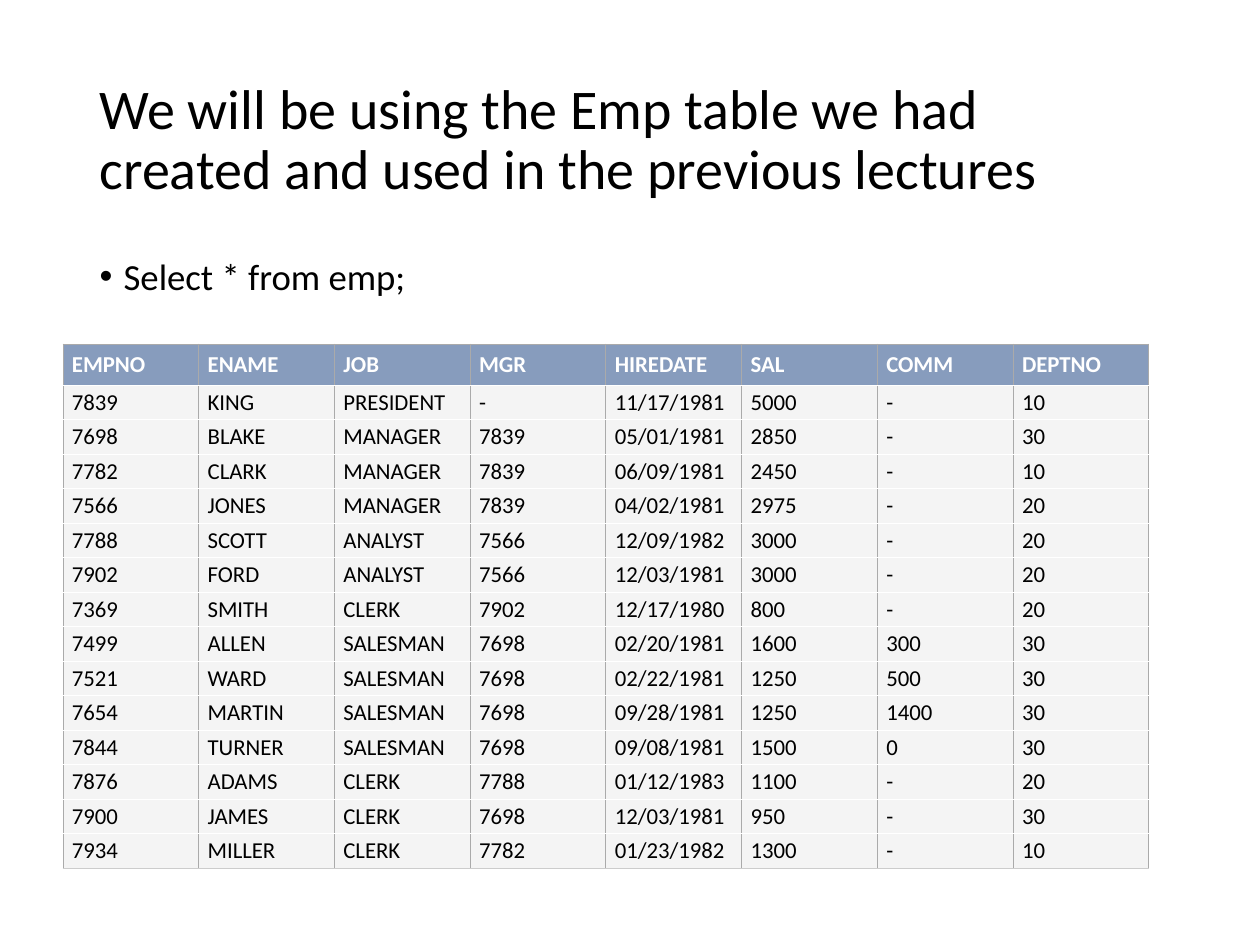
from lxml import etree
from pptx import Presentation, util as u
from pptx.dml.color import RGBColor
from pptx.enum import text
from pptx.oxml.ns import qn

SCALE = 914400 / 126
FONT = "Calibri"
COLORS = {
    "ink": "000000",
    "paper": "FFFFFF",
    "header": "879CBD",
    "row": "F4F4F4",
    "side": "AAAAAA",
    "end": "CCCCCC",
}
HEADINGS = "EMPNO ENAME JOB MGR HIREDATE SAL COMM DEPTNO"
EMPLOYEES = """
7839 KING PRESIDENT - 11/17/1981 5000 - 10
7698 BLAKE MANAGER 7839 05/01/1981 2850 - 30
7782 CLARK MANAGER 7839 06/09/1981 2450 - 10
7566 JONES MANAGER 7839 04/02/1981 2975 - 20
7788 SCOTT ANALYST 7566 12/09/1982 3000 - 20
7902 FORD ANALYST 7566 12/03/1981 3000 - 20
7369 SMITH CLERK 7902 12/17/1980 800 - 20
7499 ALLEN SALESMAN 7698 02/20/1981 1600 300 30
7521 WARD SALESMAN 7698 02/22/1981 1250 500 30
7654 MARTIN SALESMAN 7698 09/28/1981 1250 1400 30
7844 TURNER SALESMAN 7698 09/08/1981 1500 0 30
7876 ADAMS CLERK 7788 01/12/1983 1100 - 20
7900 JAMES CLERK 7698 12/03/1981 950 - 30
7934 MILLER CLERK 7782 01/23/1982 1300 - 10
"""


def px(length):
    return u.Emu(round(length * SCALE))


def color(name):
    return RGBColor.from_string(COLORS[name])


def add_span(para, words, size, ink="ink", bold=False):
    span = para.add_run()
    span.text = words
    span.font.name = FONT
    span.font.size = u.Pt(size)
    span.font.bold = bold
    span.font.color.rgb = color(ink)


def fill_placeholder(box, words, size, left, top, width, height):
    box.left, box.top = px(left), px(top)
    box.width, box.height = px(width), px(height)
    para = box.text_frame.paragraphs[0]
    para.alignment = text.PP_ALIGN.LEFT
    para.line_spacing = 0.9
    add_span(para, words, size)
    return para


def set_bullet(para, indent):
    props = para._p.get_or_add_pPr()
    props.set("marL", str(px(indent)))
    props.set("indent", str(px(-indent)))
    etree.SubElement(props, qn("a:buFont"), typeface="Arial")
    etree.SubElement(props, qn("a:buChar"), char="•")


def set_borders(cell, top, bottom):
    props = cell._tc.get_or_add_tcPr()
    edges = {"lnL": "side", "lnR": "side", "lnT": top, "lnB": bottom}
    for tag, name in edges.items():
        line = etree.SubElement(props, qn(f"a:{tag}"), w=str(u.Pt(0.6)))
        fill = etree.SubElement(line, qn("a:solidFill"))
        etree.SubElement(fill, qn("a:srgbClr"), val=COLORS[name])


def fill_cell(cell, words, is_header, is_last):
    set_borders(cell, "side" if is_header else "paper", "end" if is_last else "paper")
    cell.fill.solid()
    cell.fill.fore_color.rgb = color("header" if is_header else "row")
    cell.margin_left = cell.margin_right = px(9)
    cell.margin_top = cell.margin_bottom = px(6 if is_header else 3)
    anchors = text.MSO_ANCHOR
    cell.vertical_anchor = anchors.BOTTOM if is_header else anchors.MIDDLE
    ink = "paper" if is_header else "ink"
    add_span(cell.text_frame.paragraphs[0], words, 13, ink, is_header)


def add_records(page, records, left, top, width, height, header_height):
    count, fields = len(records), len(records[0])
    frame = page.shapes.add_table(count, fields, px(left), px(top), px(width), px(height))
    table = frame.table
    table.horz_banding = False
    for column in table.columns:
        column.width = px(width / fields)
    for index, record in enumerate(records):
        is_header = index == 0
        row_height = (height - header_height) / (count - 1)
        table.rows[index].height = px(header_height if is_header else row_height)
        for field, words in enumerate(record):
            fill_cell(table.cell(index, field), words, is_header, index == count - 1)


def main():
    deck = Presentation()
    deck.slide_width, deck.slide_height = px(1260), px(945)
    page = deck.slides.add_slide(deck.slide_layouts[1])
    page.background.fill.solid()
    page.background.fill.fore_color.rgb = color("paper")
    title, body = page.placeholders
    fill_placeholder(
        title,
        "We will be using the Emp table we had created and used in the previous lectures",
        32, 87, 50, 1086, 183,
    )
    query = fill_placeholder(body, "Select * from emp;", 21, 87, 252, 1086, 600)
    query.space_before = u.Pt(7.5)
    set_bullet(query, 24)
    records = [line.split() for line in [HEADINGS, *EMPLOYEES.strip().splitlines()]]
    add_records(page, records, 63, 344, 1086, 525, 41)
    deck.save("out.pptx")


if __name__ == "__main__":
    main()
